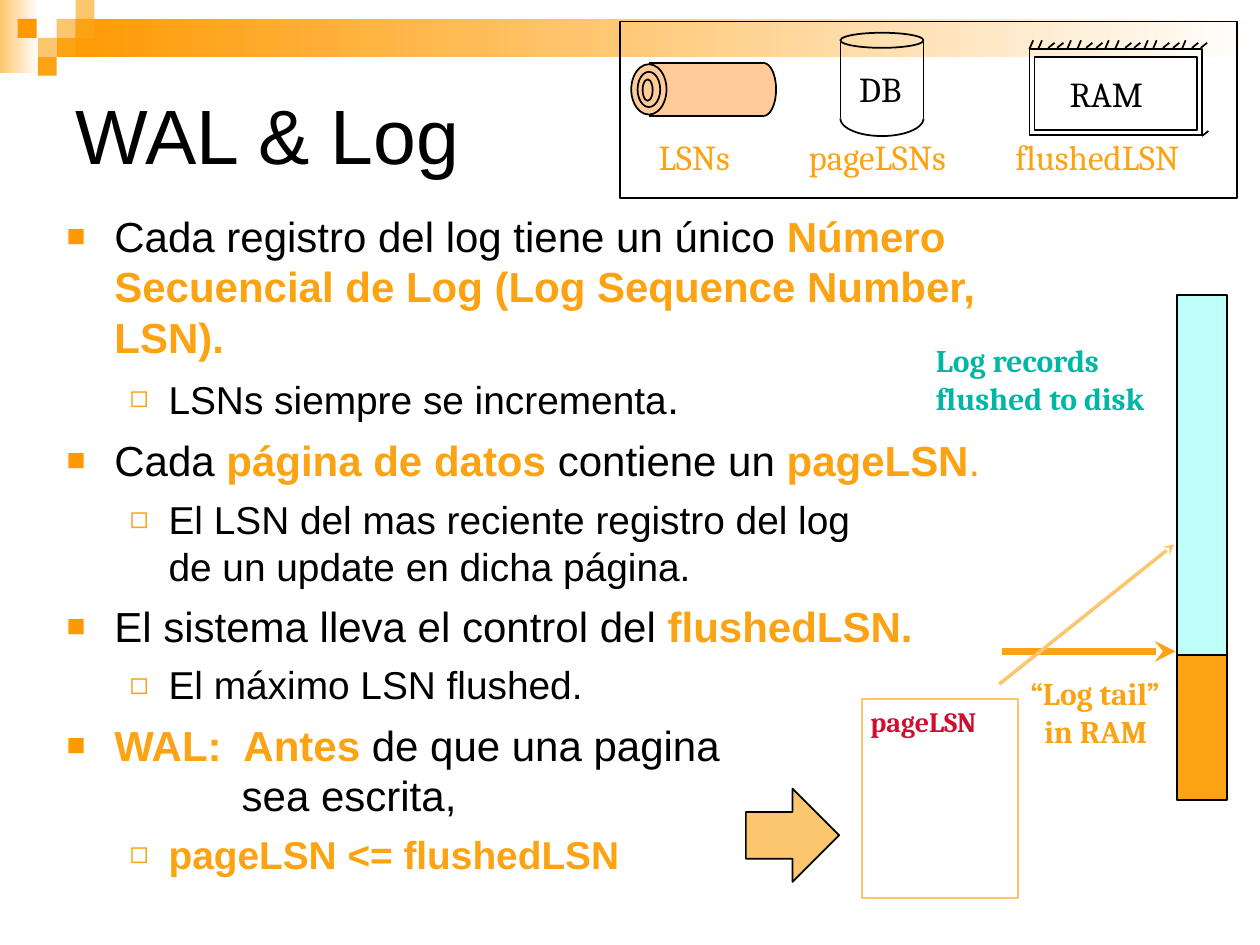
from math import cos, radians, sin

from lxml.etree import SubElement
from pptx import Presentation
from pptx.dml.color import RGBColor
from pptx.enum.shapes import MSO_CONNECTOR, MSO_SHAPE
from pptx.enum.text import MSO_ANCHOR, PP_ALIGN
from pptx.oxml.ns import qn
from pptx.util import Pt

PX = 9144
BLACK, ORANGE, PALE, BRIGHT, PEACH = "000000", "FBA313", "FCC66E", "FF9900", "FFCC99"
RED, TEAL, AQUA, WHITE = "CF0E30", "00B7A5", "C0FEF9", "FFFFFF"
RECT, OVAL = MSO_SHAPE.RECTANGLE, MSO_SHAPE.OVAL


def color(hex_code):
    """Turn a hex string into a colour."""
    return RGBColor.from_string(hex_code)


def px(*lengths):
    """Turn px lengths into EMU."""
    return [round(length * PX) for length in lengths]


def paint(shape, fill, line):
    """Set fill and outline, and drop the shadow."""
    shape.shadow.inherit = False
    if fill:
        shape.fill.solid()
        shape.fill.fore_color.rgb = color(fill)
    else:
        shape.fill.background()
    if line:
        shape.line.color.rgb = color(line)
        shape.line.width = Pt(1)
    else:
        shape.line.fill.background()


def add_block(slide, kind, box, fill=None, line=None):
    """Add a preset shape."""
    shape = slide.shapes.add_shape(kind, *px(*box))
    paint(shape, fill, line)
    return shape


def add_fade(slide, box, start):
    """Add a rectangle fading to white on the right."""
    fade = add_block(slide, RECT, box)
    fade.fill.gradient()
    fade.fill.gradient_angle = 0
    for stop, shade in zip(fade.fill.gradient_stops, (start, WHITE)):
        stop.color.rgb = color(shade)


def add_line(slide, start, end, shade=BLACK, width=1, arrow=False):
    """Add a straight line, with an arrowhead if wanted."""
    line = slide.shapes.add_connector(MSO_CONNECTOR.STRAIGHT, *px(*start, *end))
    line.line.color.rgb = color(shade)
    line.line.width = Pt(width)
    if arrow:
        SubElement(line.line._get_or_add_ln(), qn("a:tailEnd"), type="stealth")
    SubElement(line._element.spPr, qn("a:effectLst"))


def add_half_oval(slide, center, radii, first_angle, fill=None):
    """Add the outline of half an ellipse."""
    angles = [radians(first_angle + step) for step in range(0, 181, 6)]
    points = [px(center[0] + radii[0] * cos(a), center[1] + radii[1] * sin(a)) for a in angles]
    builder = slide.shapes.build_freeform(*points[0], scale=1.0)
    builder.add_line_segments(points[1:], close=False)
    paint(builder.convert_to_shape(), fill, BLACK)


def add_run(paragraph, text, size, shade, bold=False, font="Arial"):
    """Add one formatted run."""
    run = paragraph.add_run()
    run.text = text
    run.font.name, run.font.size, run.font.bold = font, Pt(size), bold
    run.font.color.rgb = color(shade)


def add_label(slide, box, lines, size, shade, bold=False, indent=0):
    """Add a serif label, indenting the lines after the first."""
    frame = slide.shapes.add_textbox(*px(*box)).text_frame
    frame.word_wrap = False
    for number, text in enumerate(lines):
        paragraph = frame.add_paragraph() if number else frame.paragraphs[0]
        if number and indent:
            paragraph._p.get_or_add_pPr().set("marL", str(indent * PX))
        add_run(paragraph, text, size, shade, bold, "Cambria")


def add_banner(slide, left, top):
    """Draw the fading bar and its mosaic of squares."""
    add_fade(slide, (left, top, 31, 58), PALE)
    add_fade(slide, (left + 45, top + 15, 955, 30), BRIGHT)
    squares = [(45, 15, PALE), (60, 0, PALE), (60, 15, ORANGE), (30, 30, PALE),
               (14, 15, BRIGHT), (45, 30, ORANGE), (30, 45, ORANGE)]
    for x, y, fill in squares:
        add_block(slide, RECT, (left + x, top + y, 15, 15), fill)


def add_title(slide, box, text):
    """Place the title."""
    title = slide.shapes.title
    title.left, title.top, title.width, title.height = px(*box)
    title.text_frame.vertical_anchor = MSO_ANCHOR.MIDDLE
    paragraph = title.text_frame.paragraphs[0]
    paragraph.alignment = PP_ALIGN.LEFT
    add_run(paragraph, text, 44, BLACK)


def set_bullet(paragraph, level):
    """Give a paragraph the indent and bullet of its level."""
    margin, hang, mark, shade, percent = [(38, 38, "■", BRIGHT, 75),
                                          (81, 31, "◻", ORANGE, 80)][level]
    properties = paragraph._p.get_or_add_pPr()
    properties.set("marL", str(margin * PX))
    properties.set("indent", str(-hang * PX))
    SubElement(SubElement(properties, qn("a:buClr")), qn("a:srgbClr"), val=shade)
    SubElement(properties, qn("a:buSzPct"), val=str(percent * 1000))
    SubElement(properties, qn("a:buFont"), typeface="Arial")
    SubElement(properties, qn("a:buChar"), char=mark)


def add_body(slide, box, points):
    """Write the bulleted text; a level of None continues the point above."""
    frame = slide.shapes.add_textbox(*px(*box)).text_frame
    frame.word_wrap = True
    for number, (level, before, runs) in enumerate(points):
        paragraph = frame.add_paragraph() if number else frame.paragraphs[0]
        if level is None:
            paragraph._p.get_or_add_pPr().set("marL", str(139 * PX))
        else:
            set_bullet(paragraph, level)
        paragraph.space_before = Pt(before)
        for text, strong in runs:
            if text == "\n":
                paragraph.add_line_break()
                continue
            size = 22.2 if level == 1 and text != "." else 24
            add_run(paragraph, text, size, ORANGE if strong else BLACK, strong and text != ".")


def add_log_roll(slide, left, top):
    """Draw the log as a roll lying on its side."""
    add_block(slide, RECT, (left + 14, top, 92, 42), PEACH)
    add_block(slide, OVAL, (left, top + 1, 28, 40), PEACH, BLACK)
    for y in (top, top + 42):
        add_line(slide, (left + 14, y), (left + 105, y))
    add_half_oval(slide, (left + 105, top + 21), (10, 21), -90, PEACH)
    add_block(slide, OVAL, (left + 5, top + 7, 18, 28), line=BLACK)
    add_block(slide, OVAL, (left + 9, top + 13, 8, 17), line=BLACK)


def add_database(slide, left, top):
    """Draw the database cylinder."""
    add_block(slide, OVAL, (left, top, 66, 12), line=BLACK)
    for x in (left, left + 66):
        add_line(slide, (x, top + 7), (x, top + 68))
    add_half_oval(slide, (left + 33, top + 68), (33, 14), 0)
    add_label(slide, (left + 5, top + 23, 58, 43), ["DB"], 20, BLACK)


def add_memory(slide, left, top):
    """Draw the memory chip with its hatched edge."""
    add_label(slide, (left + 22, top + 14, 84, 43), ["RAM"], 20, BLACK)
    add_block(slide, RECT, (left, top, 137, 68), line=BLACK)
    add_block(slide, RECT, (left + 4, top + 6, 129, 58), line=BLACK)
    for tick in range(19):
        x = left + 38 * tick // 5
        if tick % 4 > 1 or tick == 17:
            add_line(slide, (x, top - 1), (x + 5, top - 5))
        else:
            add_line(slide, (x, top), (x + 3, top - 7))
    add_line(slide, (left + 137, top + 69), (left + 142, top + 65))


def add_legend(slide, left, top):
    """Draw the framed legend of the three LSN places."""
    add_block(slide, RECT, (left, top, 490, 140), line=BLACK)
    add_log_roll(slide, left + 9, top + 33)
    add_database(slide, left + 175, top + 9)
    add_memory(slide, left + 325, top + 22)
    for x, width, name in [(21, 86, "LSNs"), (140, 149, "pageLSNs"), (304, 172, "flushedLSN")]:
        add_label(slide, (left + x, top + 86, width, 43), [name], 20, ORANGE)


def add_log_diagram(slide, left, top):
    """Draw the log column, the page and the arrows between them."""
    add_block(slide, RECT, (left + 342, top, 40, 290), AQUA, BLACK)
    add_block(slide, RECT, (left + 342, top + 286, 40, 115), ORANGE, BLACK)
    add_block(slide, RECT, (left + 92, top + 321, 124, 158), line=PALE)
    add_label(slide, (left + 89, top + 320, 114, 63), ["pageLSN"], 16, RED, True)
    add_line(slide, (left + 203, top + 283), (left + 341, top + 283), ORANGE, 4, True)
    add_line(slide, (left + 201, top + 309), (left + 340, top + 198), PALE, 2, True)
    add_label(slide, (left + 141, top + 32, 205, 70), ["Log records", "flushed to disk"], 18, TEAL, True)
    add_label(slide, (left + 216, top + 296, 139, 70), ["“Log tail”", "in RAM"], 18, ORANGE, True, 11)
    add_block(slide, MSO_SHAPE.RIGHT_ARROW, (left, top + 392, 74, 74), PALE, BLACK)


POINTS = [
    (0, 0, [("Cada registro del log tiene un único ", False),
            ("Número Secuencial de Log (Log Sequence Number, LSN).", True)]),
    (1, 6.5, [("LSNs siempre se incrementa", False), (".", False)]),
    (0, 6.5, [("Cada ", False), ("página de datos ", True), ("contiene un ", False),
              ("pageLSN", True), (".", True)]),
    (1, 6, [("El LSN del mas reciente registro del log ", False), ("\n", False),
            ("de un update en dicha página.", False)]),
    (0, 6.5, [("El sistema lleva el control del ", False), ("flushedLSN.", True)]),
    (1, 6, [("El máximo LSN flushed.", False)]),
    (0, 6.5, [("WAL:  Antes", True), (" de que una pagina", False)]),
    (None, 0, [("sea escrita,", False)]),
    (1, 6, [("pageLSN <= flushedLSN", True)]),
]


def main():
    """Build the slide and save it."""
    deck = Presentation()
    deck.slide_width, deck.slide_height = px(1000, 750)
    slide = deck.slides.add_slide(deck.slide_layouts[5])
    add_banner(slide, 0, 0)
    add_title(slide, (50, 50, 434, 112), "WAL & Log")
    add_body(slide, (43, 162, 834, 559), POINTS)
    add_legend(slide, 492, 17)
    add_log_diagram(slide, 592, 234)
    deck.save("out.pptx")


if __name__ == "__main__":
    main()
